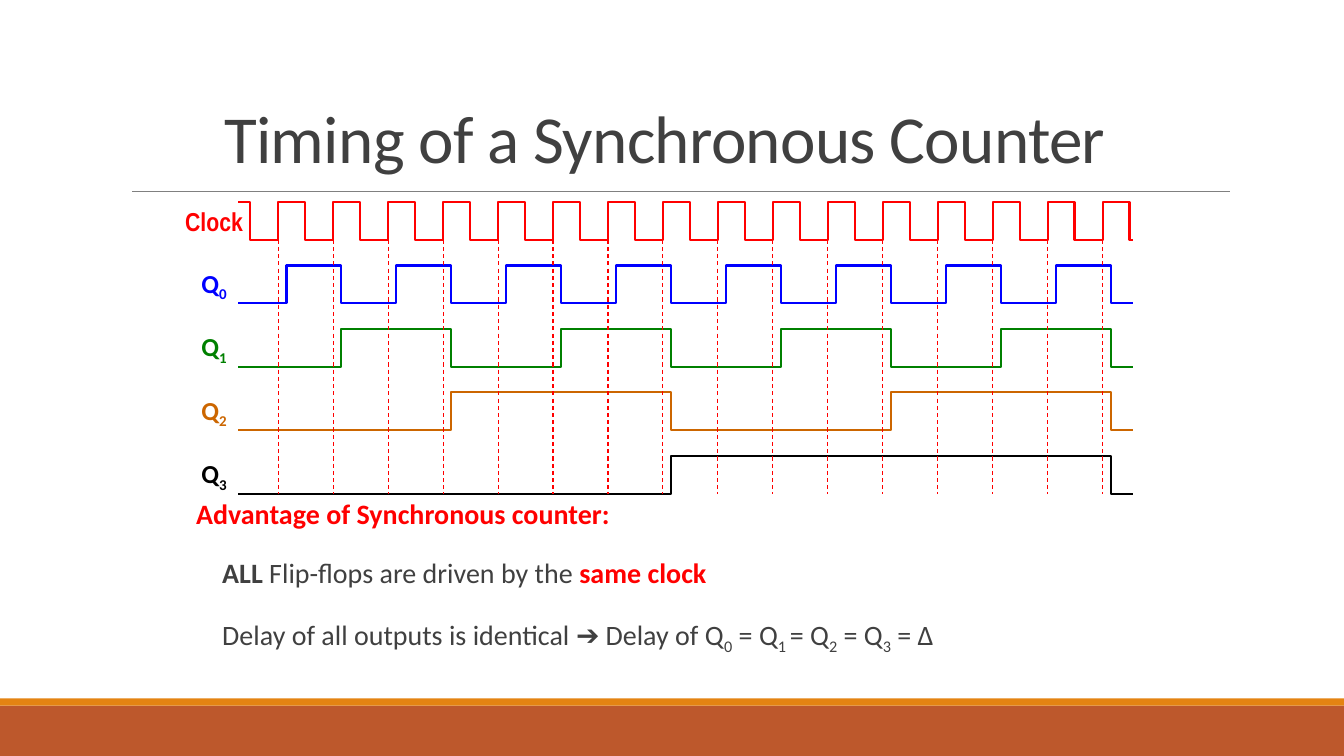
from dataclasses import dataclass
from lxml import etree
from pptx import Presentation
from pptx.dml.color import RGBColor
from pptx.enum import dml, shapes, text
from pptx.oxml import ns
from pptx.util import Cm, Pt


@dataclass(frozen=True)
class Theme:
    ink: str = "404040"
    rule: str = "808080"
    red: str = "FF0000"
    blue: str = "0000FF"
    green: str = "008000"
    brown: str = "CC6600"
    black: str = "000000"
    band: str = "BD582C"
    stripe: str = "E48312"
    font: str = "Calibri"
    clock_font: str = "Arial Narrow"
    title_size: float = 48
    body_size: float = 20
    label_size: float = 18.5


@dataclass(frozen=True)
class Box:
    """A region in centimetres."""
    left: float
    top: float
    width: float
    height: float

    def lengths(self):
        return [Cm(v) for v in (self.left, self.top, self.width, self.height)]


THEME = Theme()
WIDTH, HEIGHT = 33.87, 19.05

# Timing rules, in centimetres
CYCLES = 16
PERIOD = 20.78 / (CYCLES - 1)
FIRST_RISE = 2.34      # from the left end of the chart box
LOW_TIME = 0.71
DELAY = 0.21           # flip-flop delay after a rising clock edge
WAVE_START = 1.34
ROW_PITCH = 1.6
WAVE_HEIGHT = 0.95
LABEL_WIDTH = 1.45
LEAD, TAIL = 0.43, 0.88    # ends of a wave piece, in half periods


def set_all(target, values):
    for name, value in values.items():
        setattr(target, name, value)


def add_span(para, words, size, color, bold=False, font=THEME.font, subscript=False):
    span = para.add_run()
    span.text = words
    set_all(span.font, {"name": font, "size": Pt(size), "bold": bold})
    span.font.color.rgb = RGBColor.from_string(color)
    if subscript:
        span.font._element.set("baseline", "-25000")
    return span


def set_line(line, color, width):
    line.color.rgb = RGBColor.from_string(color)
    line.width = Pt(width)


def set_frame(frame, anchor, side=0, edge=0, wrap=True):
    set_all(frame, {
        "margin_left": Cm(side), "margin_right": Cm(side),
        "margin_top": Cm(edge), "margin_bottom": Cm(edge),
        "vertical_anchor": anchor, "word_wrap": wrap,
        "auto_size": text.MSO_AUTO_SIZE.NONE,
    })


def place(shape, box):
    set_all(shape, dict(zip(("left", "top", "width", "height"), box.lengths())))


def add_straight(items, x1, y1, x2, y2, color, width):
    line = items.add_connector(shapes.MSO_CONNECTOR.STRAIGHT, Cm(x1), Cm(y1), Cm(x2), Cm(y2))
    set_line(line.line, color, width)
    etree.SubElement(line._element.spPr, ns.qn("a:effectLst"))
    return line


def add_backdrop(page, box):
    # Footer band with its stripe, and the rule below the title
    for color, top, height in ((THEME.band, 17.78, 1.27), (THEME.stripe, 17.6, 0.18)):
        bar = page.shapes.add_shape(
            shapes.MSO_SHAPE.RECTANGLE,
            *Box(box.left, box.top + top, box.width, height).lengths())
        bar.shadow.inherit = False
        bar.fill.solid()
        bar.fill.fore_color.rgb = RGBColor.from_string(color)
        bar.line.fill.background()
    add_straight(page.shapes, box.left + 3.33, box.top + 4.82,
                 box.left + 31, box.top + 4.82, THEME.rule, 0.5)


def add_title(page, box):
    title = page.shapes.title
    place(title, box)
    set_frame(title.text_frame, text.MSO_ANCHOR.BOTTOM, 0.25, 0.13)
    para = title.text_frame.paragraphs[0]
    set_all(para, {"alignment": text.PP_ALIGN.LEFT, "line_spacing": 0.85})
    span = add_span(para, "Timing of a Synchronous Counter", THEME.title_size, THEME.ink)
    span.font._element.set("spc", "-50")


def add_wave(items, box, edges, high, half, color):
    """Draw one signal in overlapping pieces, each with a fall and a rise."""
    right = box.left + box.width
    levels = {True: Cm(box.top), False: Cm(box.top + box.height)}
    first = 2 if high else 1
    pieces = [edges[:first]] + [edges[i:i + 2] for i in range(first, len(edges), 2)]
    for number, piece in enumerate(pieces):
        start = piece[0] - LEAD * half if number else box.left
        end = right if number == len(pieces) - 1 else piece[-1] + TAIL * half
        outline = items.build_freeform(Cm(start), levels[high])
        points = []
        for edge in piece:
            points.append((Cm(edge), levels[high]))
            high = not high
            points.append((Cm(edge), levels[high]))
        points.append((Cm(end), levels[high]))
        outline.add_line_segments(points, close=False)
        wave = outline.convert_to_shape()
        wave.shadow.inherit = False
        wave.fill.background()
        set_line(wave.line, color, 1.5)


def add_label(items, box, name, index, color, font):
    label = items.add_textbox(*box.lengths())
    set_frame(label.text_frame, text.MSO_ANCHOR.MIDDLE, wrap=False)
    para = label.text_frame.paragraphs[0]
    para.alignment = text.PP_ALIGN.CENTER
    add_span(para, name, THEME.label_size, color, True, font)
    if index:
        add_span(para, index, THEME.label_size, color, True, font, subscript=True)


def add_timing_chart(page, box):
    items = page.shapes.add_group_shape().shapes
    rises = [box.left + FIRST_RISE + k * PERIOD for k in range(CYCLES)]

    # Clock falls before each rise, and once more at the end
    falls = [rise - LOW_TIME for rise in rises + [rises[-1] + PERIOD]]
    signals = [("Clock", "", THEME.red, THEME.clock_font, sorted(rises + falls), True)]

    # Output n toggles on every 2^n-th rising edge
    colors = (THEME.blue, THEME.green, THEME.brown, THEME.black)
    for n, color in enumerate(colors):
        step = 2 ** n
        toggles = [rise + DELAY for rise in rises[step - 1::step]]
        signals.append(("Q", str(n), color, THEME.font, toggles, False))

    for row, (name, index, color, font, edges, high) in enumerate(signals):
        top = box.top + row * ROW_PITCH
        half = PERIOD * 2 ** (row - 1)
        add_wave(items, Box(box.left + WAVE_START, top, box.width - WAVE_START, WAVE_HEIGHT),
                 edges, high, half, color)
        add_label(items, Box(box.left, top + 0.02, LABEL_WIDTH, WAVE_HEIGHT),
                  name, index, color, font)

    # Dashed guides under the rising edges
    for rise in rises:
        guide = add_straight(items, rise, box.top + WAVE_HEIGHT, rise, box.top + box.height,
                             THEME.red, 0.75)
        guide.line.dash_style = dml.MSO_LINE.DASH


def add_advantages(page, box):
    body = page.placeholders[1]
    place(body, box)
    set_frame(body.text_frame, text.MSO_ANCHOR.TOP, 0, 0.13)
    plain, strong = {"color": THEME.ink}, {"color": THEME.ink, "bold": True}
    alert = {"color": THEME.red, "bold": True}
    lower = {"color": THEME.ink, "subscript": True}
    lines = (
        (0.25, [("Advantage of Synchronous counter:", alert)]),
        (0.91, [("ALL", strong), (" Flip-flops are driven by the ", plain),
                ("same clock", alert)]),
        (0.91, [("Delay of all outputs is identical ➔ Delay of Q", plain), ("0", lower),
                (" = Q", plain), ("1 ", lower), ("= Q", plain), ("2", lower),
                (" = Q", plain), ("3", lower), (" = Δ", plain)]),
    )
    frame = body.text_frame
    for number, (indent, spans) in enumerate(lines):
        para = frame.add_paragraph() if number else frame.paragraphs[0]
        set_all(para, {"line_spacing": 0.9, "space_before": Pt(18.5), "space_after": Pt(2)})
        props = para._p.get_or_add_pPr()
        props.set("marL", str(Cm(indent)))
        props.set("indent", "0")
        etree.SubElement(props, ns.qn("a:buNone"))
        for words, style in spans:
            add_span(para, words, THEME.body_size, **style)


def main():
    deck = Presentation()
    set_all(deck, {"slide_width": Cm(WIDTH), "slide_height": Cm(HEIGHT)})
    page = deck.slides.add_slide(deck.slide_layouts[1])
    add_backdrop(page, Box(0, 0, WIDTH, HEIGHT))
    add_title(page, Box(5.4, 2.21, 23.24, 2.39))
    add_advantages(page, Box(4.69, 12.47, 24.38, 5.03))
    add_timing_chart(page, Box(4.67, 5.09, 23.89, 7.36))
    deck.save("out.pptx")


if __name__ == "__main__":
    main()
